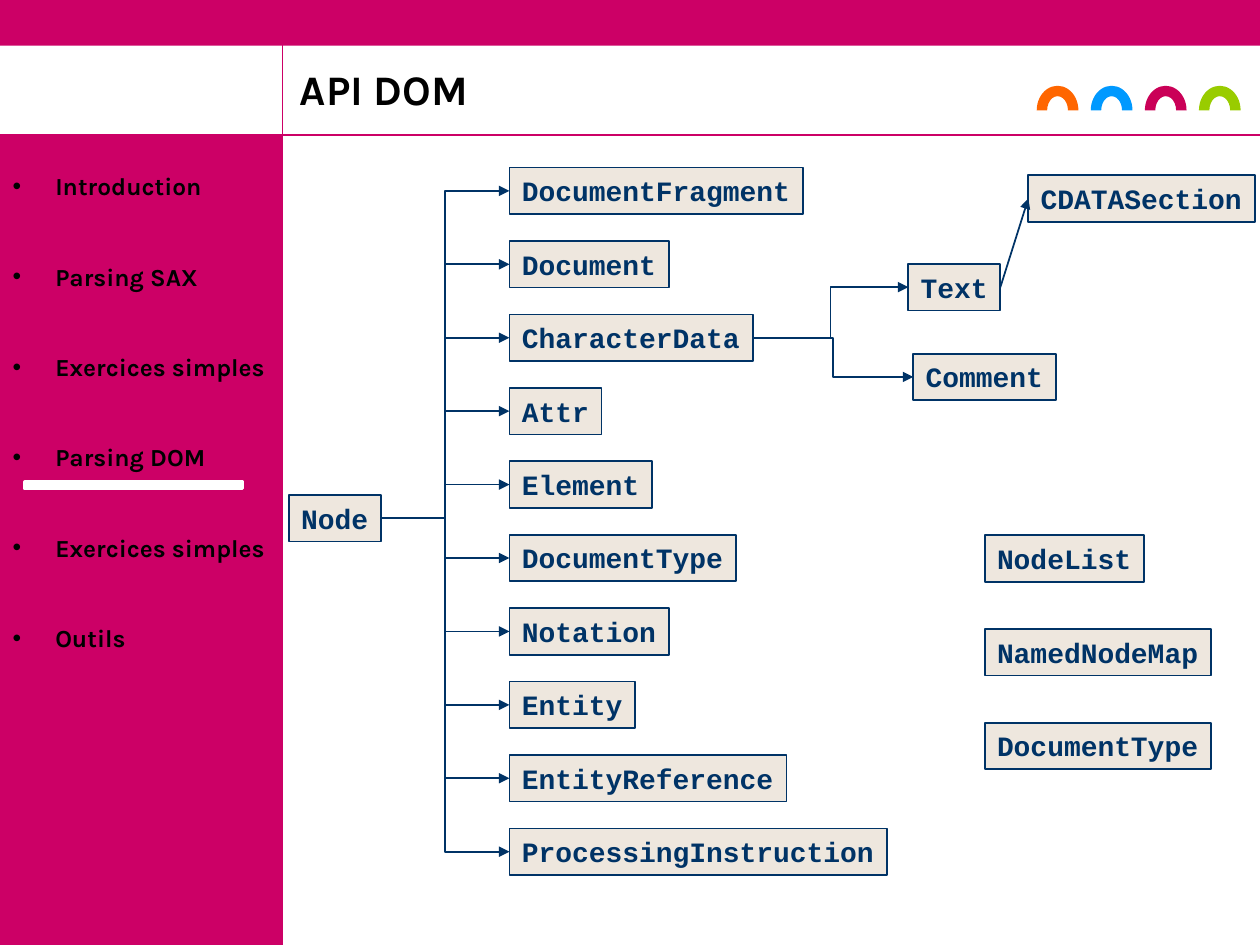
from lxml.etree import SubElement
from pptx import Presentation
from pptx.dml.color import RGBColor
from pptx.enum.shapes import MSO_CONNECTOR as Link, MSO_SHAPE as Preset
from pptx.enum.text import MSO_ANCHOR as Anchor, MSO_AUTO_SIZE as Fit, PP_ALIGN as Align
from pptx.oxml.ns import qn
from pptx.util import Cm, Pt

COLORS = {
    "magenta": "CC0066", "navy": "003366", "beige": "EEE7DE",
    "white": "FFFFFF", "black": "000000", "orange": "FF6600",
    "blue": "0099FF", "crimson": "CA0057", "green": "99CC00",
}
CHAPTERS = ["Introduction", "Parsing SAX", "Exercices simples",
            "Parsing DOM", "Exercices simples", "Outils"]
NODE_TYPES = ["DocumentFragment", "Document", "CharacterData", "Attr", "Element",
              "DocumentType", "Notation", "Entity", "EntityReference",
              "ProcessingInstruction"]
HELPERS = ["NodeList", "NamedNodeMap", "DocumentType"]
ARCHES = ["orange", "blue", "crimson", "green"]


class DomSlide:
    """Draws styled elements on the current slide, with lengths in centimetres."""

    heading_font, code_font = "Karla", "Courier New"
    box_height, char_width, box_padding = 0.94, 0.339, 0.5
    right_site, left_site = 3, 1

    def __init__(self, slide):
        self.slide = slide
        self.shapes = slide.shapes

    def color(self, name):
        return RGBColor.from_string(COLORS[name])

    def style(self, paragraph, family, size, color):
        paragraph.alignment = Align.LEFT
        font = paragraph.font
        font.name, font.size, font.bold = family, Pt(size), True
        font.color.rgb = self.color(color)

    def block(self, left, top, width, height, fill, line=None, weight=1, preset=Preset.RECTANGLE):
        block = self.shapes.add_shape(preset, Cm(left), Cm(top), Cm(width), Cm(height))
        block.shadow.inherit = False
        block.fill.solid()
        block.fill.fore_color.rgb = self.color(fill)
        if line:
            block.line.color.rgb = self.color(line)
            block.line.width = Pt(weight)
        else:
            block.line.fill.background()
        return block

    def interface(self, name, left, top):
        width = self.char_width * len(name) + self.box_padding
        box = self.block(left, top, width, self.box_height, "beige", "navy")
        frame = box.text_frame
        frame.text = name
        frame.word_wrap = False
        frame.auto_size = Fit.SHAPE_TO_FIT_TEXT
        frame.vertical_anchor = Anchor.TOP
        self.style(frame.paragraphs[0], self.code_font, 16, "navy")
        return box

    def line(self, kind, color, weight, start=(0, 0), end=(0, 0)):
        line = self.shapes.add_connector(kind, *map(Cm, start + end))
        line.line.color.rgb = self.color(color)
        line.line.width = Pt(weight)
        SubElement(line.element.spPr, qn("a:effectLst"))
        return line

    def arrow(self, parent, child, kind=Link.ELBOW):
        arrow = self.line(kind, "navy", 1)
        arrow.begin_connect(parent, self.right_site)
        arrow.end_connect(child, self.left_site)
        SubElement(arrow.line._get_or_add_ln(), qn("a:tailEnd"), type="triangle")

    def placeholder(self, holder, left, top, width, height, lines, size, anchor):
        holder.left, holder.top = Cm(left), Cm(top)
        holder.width, holder.height = Cm(width), Cm(height)
        self.shapes.element.append(holder.element)
        frame = holder.text_frame
        frame.text = "\n".join(lines)
        frame.word_wrap = True
        frame.auto_size = Fit.NONE
        frame.vertical_anchor = anchor
        for paragraph in frame.paragraphs:
            self.style(paragraph, self.heading_font, size, "black")
        return frame.paragraphs

    def title(self, text):
        heading, = self.placeholder(self.shapes.title, 5.79, 1.22, 18.62, 1.22,
                                    [text], 24, Anchor.BOTTOM)
        heading.line_spacing = 0.9

    def menu(self, chapters):
        entries = self.placeholder(self.slide.placeholders[1], 0, 3.33, 5.89, 10.26,
                                   chapters, 14, Anchor.TOP)
        for position, entry in enumerate(entries):
            entry.space_before = Pt(34.8 if position else 0)
            properties = entry._p.get_or_add_pPr()
            properties.set("marL", str(Cm(0.86)))
            properties.set("indent", str(-Cm(0.86)))


def main():
    deck = Presentation()
    deck.slide_width, deck.slide_height = Cm(25.4), Cm(19.05)
    page = DomSlide(deck.slides.add_slide(deck.slide_layouts[1]))

    page.block(0, 2.72, 5.7, 16.33, "magenta")
    page.block(0, 0, 25.4, 0.92, "magenta")
    page.line(Link.STRAIGHT, "magenta", 0.75, (0, 2.72), (25.4, 2.72))
    page.line(Link.STRAIGHT, "magenta", 0.75, (5.7, 19.05), (5.7, 0))
    for position, color in enumerate(ARCHES):
        page.block(20.9 + 1.09 * position, 1.73, 0.84, 0.99, color, preset=Preset.BLOCK_ARC)
    page.menu(CHAPTERS)
    page.title("API DOM")

    children = [page.interface(name, 10.27, 3.38 + 1.48 * row)
                for row, name in enumerate(NODE_TYPES)]
    node = page.interface("Node", 5.82, 9.98)
    text = page.interface("Text", 18.31, 5.32)
    comment = page.interface("Comment", 18.41, 7.13)
    cdata = page.interface("CDATASection", 20.73, 3.53)
    for row, name in enumerate(HELPERS):
        page.interface(name, 19.85, 10.79 + 1.89 * row)

    for child in children:
        page.arrow(node, child)
    character_data = children[NODE_TYPES.index("CharacterData")]
    for child in (text, comment):
        page.arrow(character_data, child)
    page.arrow(text, cdata, Link.STRAIGHT)
    page.block(0.5, 9.72, 4.39, 0.13, "white", "white", 2)

    deck.save("out.pptx")


if __name__ == "__main__":
    main()
